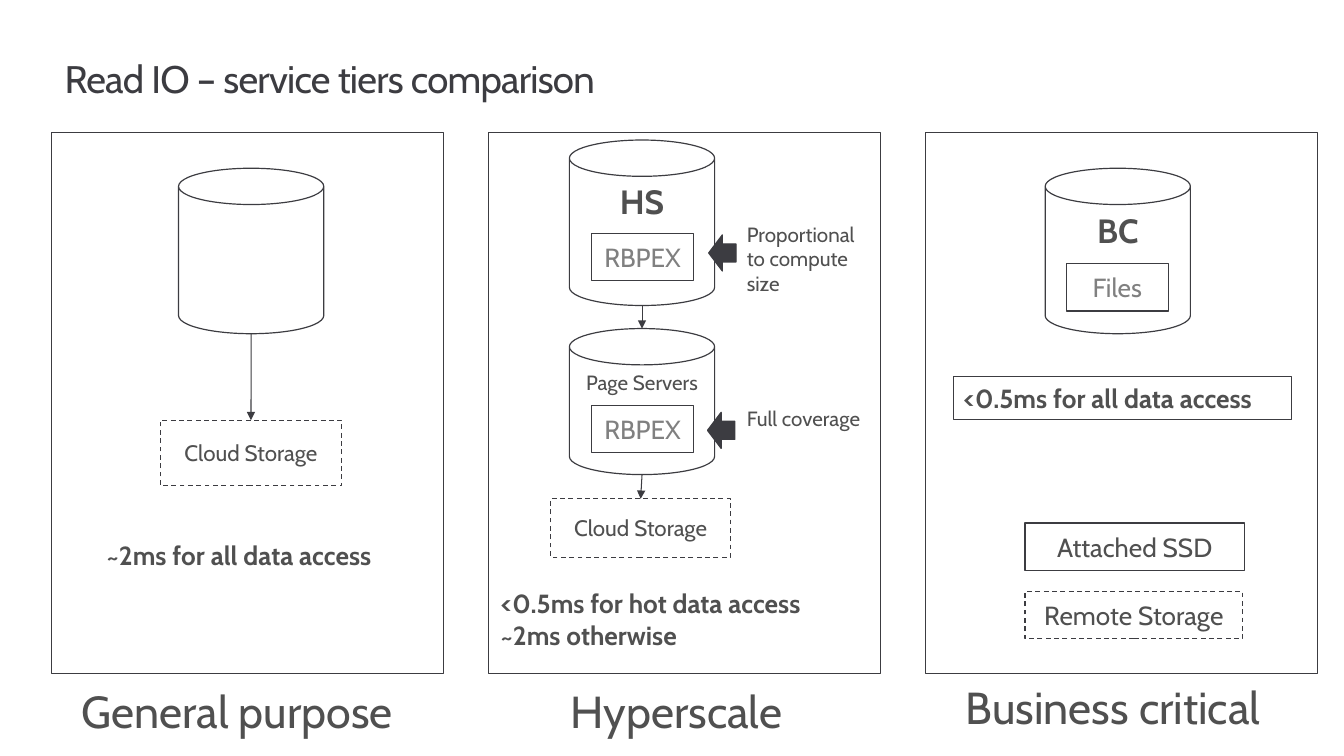
"""Build the slide comparing read IO across three database service tiers."""
import pptx
import pptx.dml.color
import pptx.enum.dml
import pptx.enum.shapes
import pptx.enum.text
import pptx.oxml
import pptx.oxml.ns
import pptx.util

Cm = pptx.util.Cm
Pt = pptx.util.Pt
SHAPE = pptx.enum.shapes.MSO_SHAPE
ALIGN = pptx.enum.text.PP_ALIGN
ANCHOR = pptx.enum.text.MSO_ANCHOR
COLORS = {"ink": "3C3C41", "text": "505050", "muted": "808080"}
RGB = {name: pptx.dml.color.RGBColor.from_string(code) for name, code in COLORS.items()}

deck = pptx.Presentation()
deck.slide_width, deck.slide_height = Cm(33.87), Cm(19.05)
slide = deck.slides.add_slide(deck.slide_layouts[6])


def draw(kind, box, weight=0.85, dashed=False, filled=False):
    """Add an outlined shape; box is left, top, width, height in cm."""
    shape = slide.shapes.add_shape(kind, *map(Cm, box))
    shape.shadow.inherit = False
    if filled:
        shape.fill.solid()
        shape.fill.fore_color.rgb = RGB["ink"]
    else:
        shape.fill.background()
    shape.line.color.rgb = RGB["ink"]
    shape.line.width = Pt(weight)
    if dashed:
        shape.line.dash_style = pptx.enum.dml.MSO_LINE.DASH
    return shape


def write(shape, text, size, color="text", bold=False, align=ALIGN.LEFT,
          anchor=ANCHOR.TOP, wrap=True):
    """Put styled text, one paragraph per line, into a shape."""
    frame = shape.text_frame
    frame.text = text
    frame.word_wrap = wrap
    frame.vertical_anchor = anchor
    for paragraph in frame.paragraphs:
        paragraph.alignment = align
        paragraph.font.name = "Cabin"
        paragraph.font.size = Pt(size)
        paragraph.font.bold = bold
        paragraph.font.color.rgb = RGB[color]
    return frame


title = slide.shapes.add_textbox(Cm(1.63), Cm(1.27), Cm(30.61), Cm(1.55))
title_frame = write(title, "Read IO – service tiers comparison", 27.4, "ink")
title_frame.margin_left, title_frame.margin_right = Cm(0), Cm(0.41)
title_frame.margin_top = title_frame.margin_bottom = Cm(0.25)
title_frame.paragraphs[0].line_spacing = 0.9
title_frame.paragraphs[0].runs[0].font._element.set("spc", "-50")

tiers = [
    ("General purpose", 1.37, 16.84, 9.7),
    ("Hyperscale", 13.69, 16.84, 6.86),
    ("Business critical", 23.65, 16.76, 9.19),
]
for column, (tier, left, top, width) in enumerate(tiers):
    draw(SHAPE.RECTANGLE, (1.3 + 11.01 * column, 3.33, 9.88, 13.64), 0.75)
    tier_label = slide.shapes.add_textbox(Cm(left), Cm(top), Cm(width), Cm(2.34))
    tier_frame = write(tier_label, tier, 32, wrap=False)
    tier_frame.margin_left = tier_frame.margin_right = Cm(0.69)
    tier_frame.margin_top = tier_frame.margin_bottom = Cm(0.53)
    tier_frame.paragraphs[0].line_spacing = 0.9
    tier_frame.paragraphs[0].space_after = Pt(8)

databases = [
    ("", 4.5, 4.24, 4.17, 24, True),
    ("HS", 14.35, 3.53, 4.17, 24, True),
    ("Page Servers", 14.35, 8.28, 3.68, 14.7, False),
    ("BC", 26.34, 4.24, 4.17, 24, True),
]
for name, left, top, height, size, bold in databases:
    database = draw(SHAPE.CAN, (left, top, 3.66, height))
    if name:
        write(database, name, size, bold=bold, align=ALIGN.CENTER)

stores = [
    ("RBPEX", (14.91, 5.89, 2.57, 1.19), 18.7, "muted", False),
    ("RBPEX", (14.91, 10.21, 2.57, 1.19), 18.7, "muted", False),
    ("Files", (26.87, 6.65, 2.57, 1.19), 18.7, "muted", False),
    ("Attached SSD", (25.83, 13.18, 5.54, 1.19), 18.7, "text", False),
    ("Remote Storage", (25.83, 14.91, 5.49, 1.19), 18.7, "text", True),
    ("Cloud Storage", (4.04, 10.59, 4.57, 1.65), 16, "text", True),
    ("Cloud Storage", (13.87, 12.57, 4.55, 1.47), 16, "text", True),
]
drawn_stores = []
for name, box, size, color, dashed in stores:
    store = draw(SHAPE.RECTANGLE, box, dashed=dashed)
    write(store, name, size, color, align=ALIGN.CENTER, anchor=ANCHOR.MIDDLE)
    drawn_stores.append(store)
general_storage, hyperscale_storage = drawn_stores[-2:]

reads = [
    (6.33, 8.41, 10.59, general_storage),
    (16.18, 7.7, 8.28, None),
    (16.18, 11.96, 12.57, hyperscale_storage),
]
for x, start, end, target in reads:
    read = slide.shapes.add_connector(
        pptx.enum.shapes.MSO_CONNECTOR.STRAIGHT, Cm(x), Cm(start), Cm(x), Cm(end))
    if target is not None:
        read.end_connect(target, 0)
    read.line.color.rgb = RGB["ink"]
    read.line.width = Pt(0.75)
    arrowhead = pptx.oxml.parse_xml(
        f'<a:tailEnd {pptx.oxml.ns.nsdecls("a")} type="triangle"/>')
    read.line._get_or_add_ln().append(arrowhead)
    read._element.spPr.append(
        pptx.oxml.parse_xml(f'<a:effectLst {pptx.oxml.ns.nsdecls("a")}/>'))

cache_notes = [
    ("Proportional to compute size", 5.46, 2.13, 17.86, 5.92),
    ("Full coverage", 10.11, 0.89, 17.83, 10.39),
]
for note, top, height, arrow_left, arrow_top in cache_notes:
    cache_note = slide.shapes.add_textbox(Cm(18.57), Cm(top), Cm(3.66), Cm(height))
    write(cache_note, note, 14.7)
    draw(SHAPE.LEFT_ARROW, (arrow_left, arrow_top, 0.69, 0.91), filled=True)

latencies = [
    ("~2ms for all data access", (2.44, 13.46, 7.98, 1.07)),
    ("<0.5ms for hot data access\n~2ms otherwise", (12.37, 14.68, 8.86, 1.85)),
]
for latency, box in latencies:
    latency_label = slide.shapes.add_textbox(*map(Cm, box))
    write(latency_label, latency, 18.7, bold=True, wrap=False)
critical_latency = draw(SHAPE.RECTANGLE, (24.03, 9.5, 8.53, 1.07), 0.75)
write(critical_latency, "<0.5ms for all data access", 18.7, bold=True)

deck.save("out.pptx")
